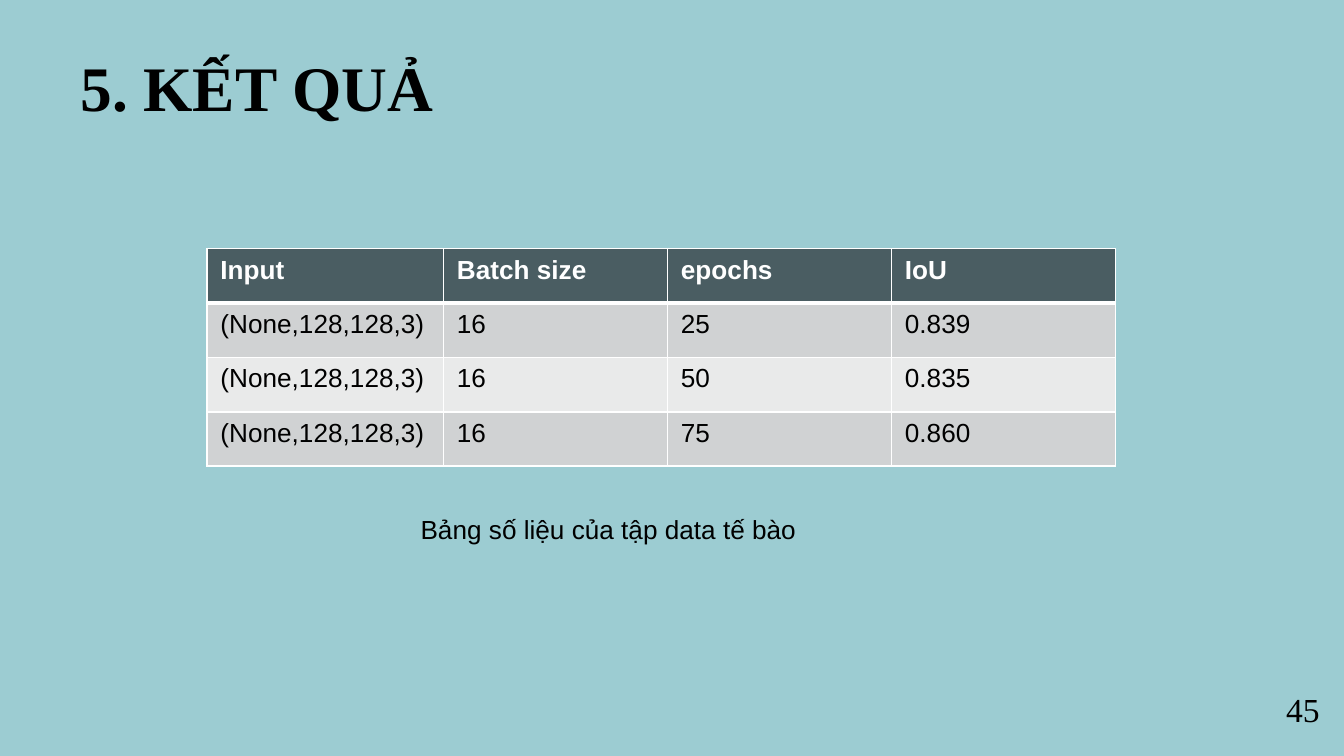
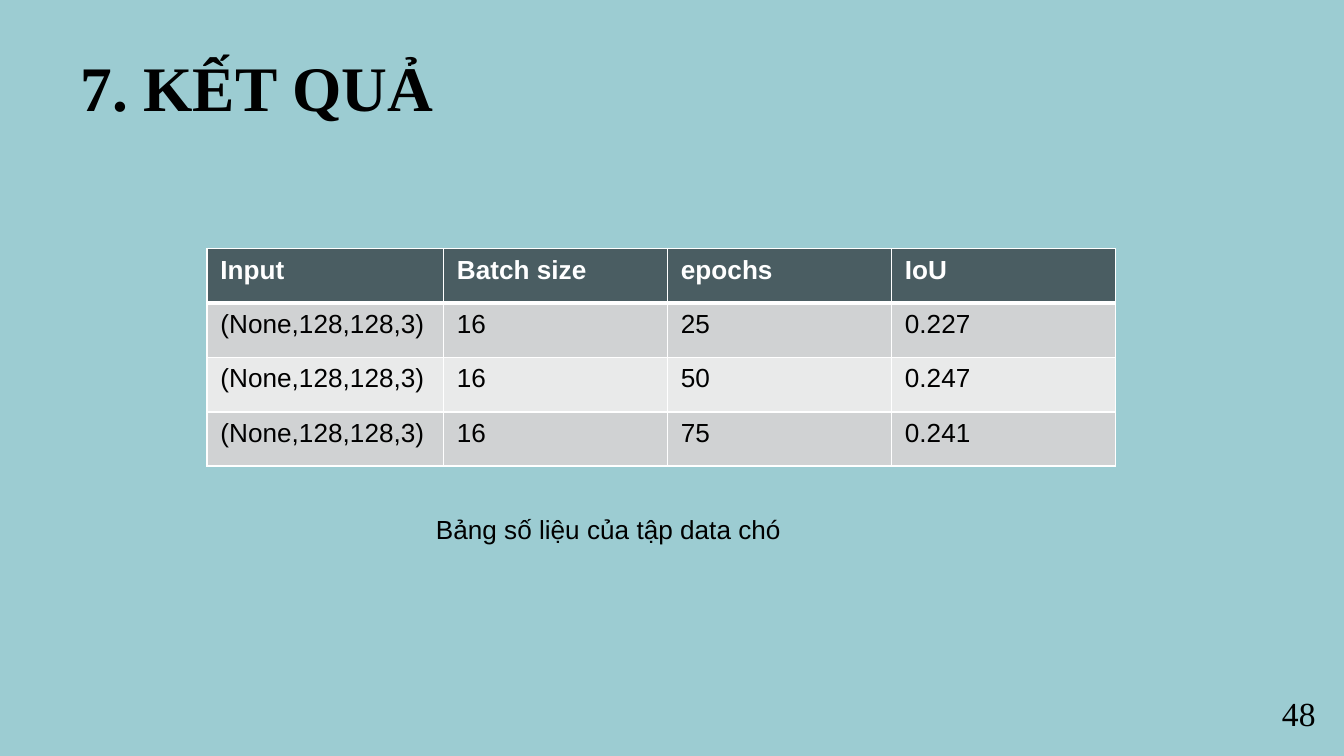
from lxml.etree import SubElement as Sub
from pptx import Presentation
from pptx.dml.color import RGBColor as RGB
from pptx.enum.text import PP_ALIGN as Align
from pptx.oxml.ns import qn
from pptx.util import Inches, Pt

HUES = {
    "back": "9CCCD2",
    "ink": "000000",
    "white": "FFFFFF",
    "head": "4A5D62",
    "odd": "D0D2D3",
    "even": "E9EAEA",
}
SERIF, SANS = "Times New Roman", "Arial"
HEADS = ["Input", "Batch size", "epochs", "IoU"]
INPUT, BATCH = "(None,128,128,3)", "16"
EPOCHS = ["25", "50", "75"]
WIDE, FIRST = 6.76, 1.76
WIDTHS = [FIRST] + [(WIDE - FIRST) / 3] * 3


def hue(name):
    """Return a named colour."""
    return RGB.from_string(HUES[name])


def write(par, text, size, face, color="ink", bold=False):
    """Add one styled run to a paragraph."""
    run = par.add_run()
    run.text = text
    font = run.font
    font.size, font.name, font.bold = Pt(size), face, bold
    font.color.rgb = hue(color)


def add_text(slide, box, text, size, face, bold=False, align=Align.LEFT, wrap=True):
    """Add a one-line text box."""
    frame = slide.shapes.add_textbox(*map(Inches, box)).text_frame
    frame.word_wrap = wrap
    par = frame.paragraphs[0]
    par.alignment = align
    write(par, text, size, face, bold=bold)


def add_edge(cell, side, width):
    """Draw one white border of a cell."""
    props = cell._tc.get_or_add_tcPr()
    line = Sub(props, qn(f"a:ln{side}"), w=str(Pt(width)))
    fill = Sub(line, qn("a:solidFill"))
    Sub(fill, qn("a:srgbClr"), val=HUES["white"])


def add_cell(cell, text, row):
    """Style and fill one table cell."""
    head = row == 0
    thick = {"T": 3 if row == 1 else 1, "B": 3 if head else 1}
    for side in "LRTB":
        add_edge(cell, side, thick.get(side, 1))
    cell.fill.solid()
    cell.fill.fore_color.rgb = hue("head" if head else "odd" if row % 2 else "even")
    par = cell.text_frame.paragraphs[0]
    write(par, text, 14, SANS, "white" if head else "ink", head)


def add_grid(slide, scores):
    """Add the table of scores by epoch count."""
    rows = [HEADS] + [[INPUT, BATCH, *pair] for pair in zip(EPOCHS, scores)]
    box = map(Inches, (1.54, 1.85, WIDE, 1.62))
    table = slide.shapes.add_table(len(rows), len(HEADS), *box).table
    for col, width in zip(table.columns, WIDTHS):
        col.width = Inches(width)
    for r, row in enumerate(rows):
        for c, text in enumerate(row):
            add_cell(table.cell(r, c), text, r)


def add_slide(deck, title, width, scores, data, page, spot):
    """Add one slide of results."""
    slide = deck.slides.add_slide(deck.slide_layouts[6])
    fill = slide.background.fill
    fill.solid()
    fill.fore_color.rgb = hue("back")
    add_text(slide, (0.5, 0.31, width, 0.67), title, 34, SERIF, bold=True)
    add_text(slide, (*spot, 0.45, 0.4), page, 18, SERIF, wrap=False)
    add_grid(slide, scores)
    label = f"Bảng số liệu của tập data {data} "
    add_text(slide, (2.29, 3.77, 4.53, 0.34), label, 14, SANS, align=Align.CENTER)


def main():
    """Build and save the deck."""
    deck = Presentation()
    deck.slide_width = Inches(10)
    deck.slide_height = deck.slide_width * 9 // 16
    cells = ["0.839", "0.835", "0.860"]
    dogs = ["0.227", "0.247", "0.241"]
    add_slide(deck, "5. KẾT QUẢ", 3.22, cells, "tế bào", "45", (9.47, 5.08))
    add_slide(deck, "7. KẾT QUẢ", 3.5, dogs, "chó", "48", (9.44, 5.11))
    deck.save("out.pptx")


if __name__ == "__main__":
    main()
